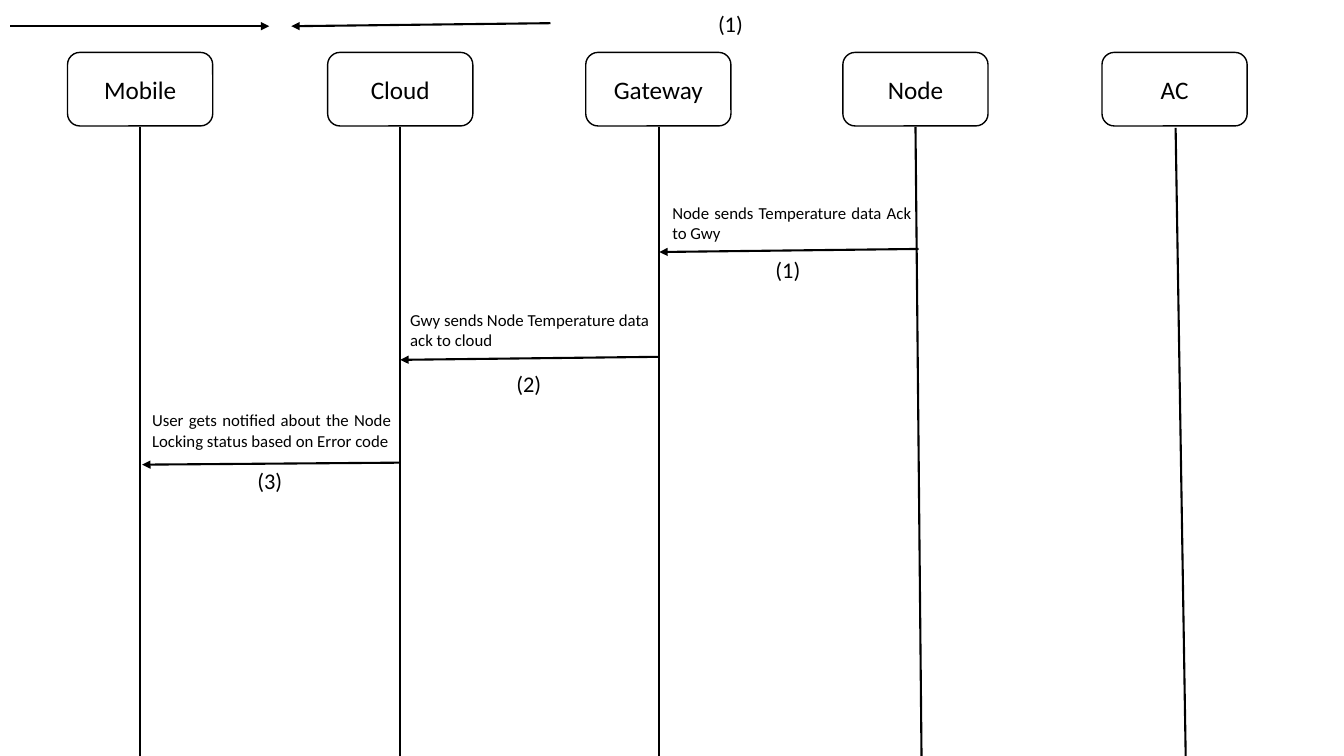
from typing import NamedTuple

from lxml import etree
from pptx import Presentation
from pptx.dml.color import RGBColor
from pptx.enum.shapes import MSO_CONNECTOR, MSO_SHAPE
from pptx.enum.text import MSO_ANCHOR, PP_ALIGN
from pptx.oxml.ns import qn
from pptx.util import Emu, Pt

PX = 9144  # EMU per px, 100 px to the inch
WIDTH, HEIGHT = 1333, 750
FONT = "Calibri"
COLORS = {"ink": "000000", "paper": "FFFFFF"}
STRAIGHT = MSO_CONNECTOR.STRAIGHT
ROUNDED = MSO_SHAPE.ROUNDED_RECTANGLE
MIDDLE = MSO_ANCHOR.MIDDLE
CENTER, JUSTIFY = PP_ALIGN.CENTER, PP_ALIGN.JUSTIFY

HEAD_TOP, HEAD_W, HEAD_H = 52, 144, 73
TEXT_W, NOTE_H, STEP_H = 257, 50, 37


class Point(NamedTuple):
    x: int
    y: int


class Actor(NamedTuple):
    name: str
    left: int
    start: Point
    foot: int


class Message(NamedTuple):
    text: str
    note: Point
    step: Point
    start: Point
    end: Point


ACTORS = [
    Actor("Mobile", 67, Point(139, 126), 139),
    Actor("Cloud", 325, Point(397, 126), 397),
    Actor("Gateway", 581, Point(654, 126), 654),
    Actor("Node", 836, Point(908, 126), 914),
    Actor("AC", 1093, Point(1166, 127), 1176),
]

MESSAGES = [
    Message("Node sends Temperature data Ack to Gwy",
            Point(657, 196), Point(653, 249), Point(911, 247), Point(654, 250)),
    Message("Gwy sends Node Temperature data ack to cloud",
            Point(397, 302), Point(396, 362), Point(654, 354), Point(397, 357)),
    Message("User gets notified about the Node Locking status based on Error code",
            Point(141, 402), Point(139, 459), Point(397, 459), Point(141, 461)),
]

LEGEND_ARROWS = [
    (Point(10, 26), Point(267, 26)),
    (Point(546, 23), Point(289, 26)),
]
LEGEND_STEP = Point(596, 5)


def px(size: int) -> Emu:
    return Emu(size * PX)


def color(name: str) -> RGBColor:
    return RGBColor.from_string(COLORS[name])


def write(frame, text: str, size: int, align) -> None:
    frame.word_wrap = True
    line = frame.paragraphs[0]
    line.text = text
    line.alignment = align
    font = line.runs[0].font
    font.name, font.size = FONT, Pt(size)
    font.color.rgb = color("ink")


def add_text(slide, spot: Point, height: int, text: str, size: int, align) -> None:
    box = slide.shapes.add_textbox(px(spot.x), px(spot.y), px(TEXT_W), px(height))
    write(box.text_frame, text, size, align)


def add_step(slide, spot: Point, number: int) -> None:
    add_text(slide, spot, STEP_H, f"({number})", 16, CENTER)


def add_line(slide, start: Point, end: Point, arrow: bool = False) -> None:
    link = slide.shapes.add_connector(
        STRAIGHT, px(start.x), px(start.y), px(end.x), px(end.y))
    link.line.width = Pt(1.5)
    link.line.color.rgb = color("ink")
    if arrow:
        etree.SubElement(link.line._get_or_add_ln(), qn("a:tailEnd"), type="triangle")
    etree.SubElement(link._element.spPr, qn("a:effectLst"))


def add_actor(slide, actor: Actor) -> None:
    """Draw the head box and the lifeline below it."""
    head = slide.shapes.add_shape(
        ROUNDED, px(actor.left), px(HEAD_TOP), px(HEAD_W), px(HEAD_H))
    head.shadow.inherit = False
    head.fill.solid()
    head.fill.fore_color.rgb = color("paper")
    head.line.color.rgb = color("ink")
    head.line.width = Pt(1)
    head.text_frame.vertical_anchor = MIDDLE
    write(head.text_frame, actor.name, 18, CENTER)
    add_line(slide, actor.start, Point(actor.foot, HEIGHT))


def add_message(slide, number: int, message: Message) -> None:
    add_line(slide, message.start, message.end, arrow=True)
    add_step(slide, message.step, number)
    add_text(slide, message.note, NOTE_H, message.text, 12, JUSTIFY)


def main() -> None:
    deck = Presentation()
    deck.slide_width, deck.slide_height = px(WIDTH), px(HEIGHT)
    slide = deck.slides.add_slide(deck.slide_layouts[6])
    for actor in ACTORS:
        add_actor(slide, actor)
    for start, end in LEGEND_ARROWS:
        add_line(slide, start, end, arrow=True)
    add_step(slide, LEGEND_STEP, 1)
    for number, message in enumerate(MESSAGES, 1):
        add_message(slide, number, message)
    deck.save("out.pptx")


if __name__ == "__main__":
    main()
